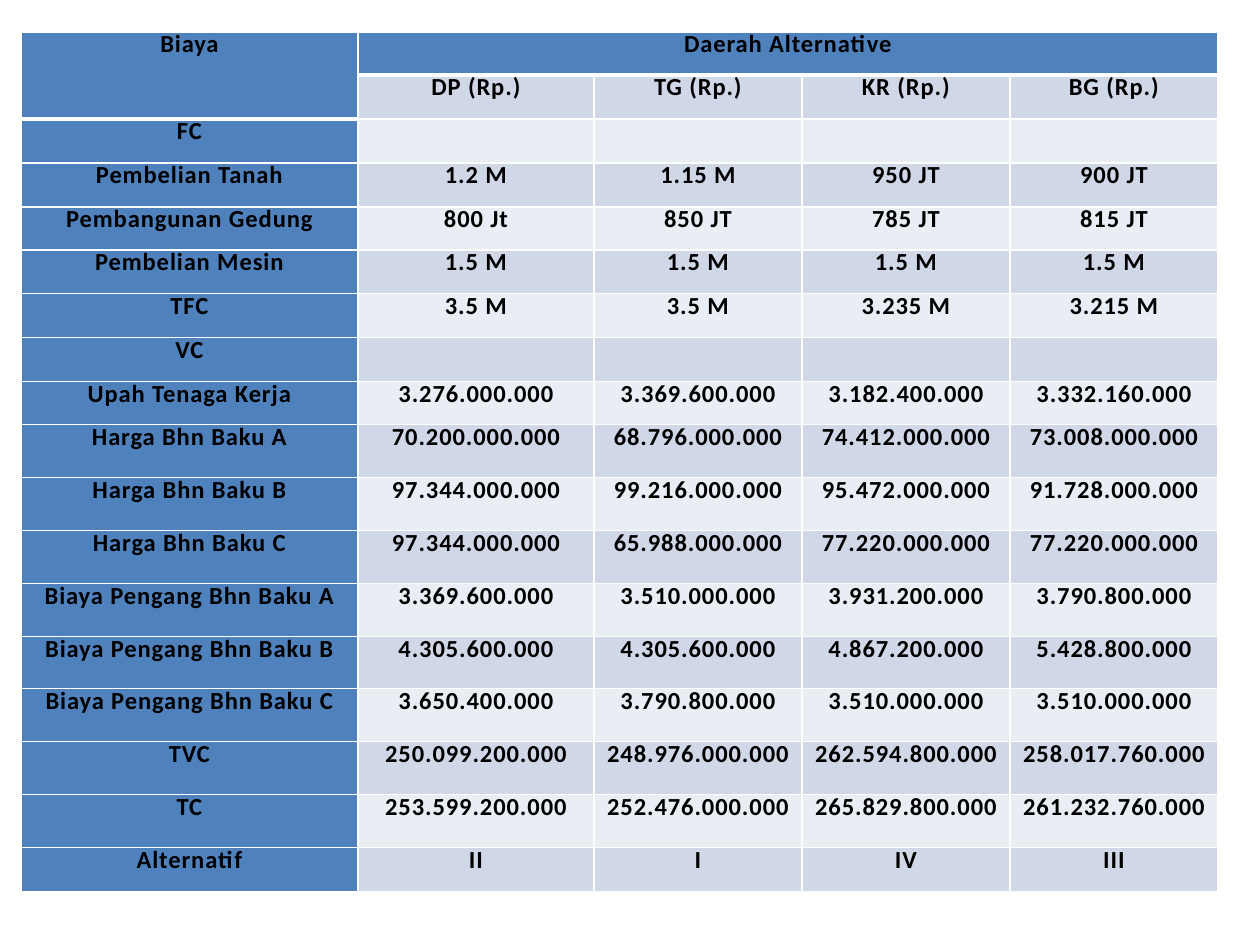
"""Build a slide with a table comparing costs across four alternative regions."""
import itertools
import pptx
import pptx.dml.color
import pptx.enum.text
import pptx.oxml
import pptx.oxml.ns
import pptx.util

PX = 914400 / 126
COLORS = {"head": "4F81BD", "dark": "D0D8E8", "light": "E9EDF4", "line": "FFFFFF", "text": "000000"}
WIDTHS = [337, 236, 208, 208, 208]
EDGES = [32, 75, 119, 163, 207, 250, 294, 338, 382, 425, 478, 531, 584, 637, 689, 742, 795, 848, 892]
COSTS = [
    ["Biaya", "Daerah Alternative", "", "", ""],
    ["", "DP (Rp.)", "TG (Rp.)", "KR (Rp.)", "BG (Rp.)"],
    ["FC", "", "", "", ""],
    ["Pembelian Tanah", "1.2 M", "1.15 M", "950 JT", "900 JT"],
    ["Pembangunan Gedung", "800 Jt", "850 JT", "785 JT", "815 JT"],
    ["Pembelian Mesin", "1.5 M", "1.5 M", "1.5 M", "1.5 M"],
    ["TFC", "3.5 M", "3.5 M", "3.235 M", "3.215 M"],
    ["VC", "", "", "", ""],
    ["Upah Tenaga Kerja", "3.276.000.000", "3.369.600.000", "3.182.400.000", "3.332.160.000"],
    ["Harga Bhn Baku A", "70.200.000.000", "68.796.000.000", "74.412.000.000", "73.008.000.000"],
    ["Harga Bhn Baku B", "97.344.000.000", "99.216.000.000", "95.472.000.000", "91.728.000.000"],
    ["Harga Bhn Baku C", "97.344.000.000", "65.988.000.000", "77.220.000.000", "77.220.000.000"],
    ["Biaya Pengang Bhn Baku A", "3.369.600.000", "3.510.000.000", "3.931.200.000", "3.790.800.000"],
    ["Biaya Pengang Bhn Baku B", "4.305.600.000", "4.305.600.000", "4.867.200.000", "5.428.800.000"],
    ["Biaya Pengang Bhn Baku C", "3.650.400.000", "3.790.800.000", "3.510.000.000", "3.510.000.000"],
    ["TVC", "250.099.200.000", "248.976.000.000", "262.594.800.000", "258.017.760.000"],
    ["TC", "253.599.200.000", "252.476.000.000", "265.829.800.000", "261.232.760.000"],
    ["Alternatif", "II", "I", "IV", "III"],
]


def emu(px):
    return pptx.util.Emu(round(px * PX))


def border(cell, side, points):
    line = pptx.oxml.parse_xml(
        f'<a:{side} {pptx.oxml.ns.nsdecls("a")} w="{points * 12700}"><a:solidFill>'
        f'<a:srgbClr val="{COLORS["line"]}"/></a:solidFill></a:{side}>')
    cell._tc.get_or_add_tcPr().append(line)


deck = pptx.Presentation()
deck.slide_width, deck.slide_height = emu(1260), emu(945)
slide = deck.slides.add_slide(deck.slide_layouts[6])
frame = slide.shapes.add_table(len(COSTS), len(WIDTHS), emu(21), emu(EDGES[0]),
                               emu(sum(WIDTHS)), emu(EDGES[-1] - EDGES[0]))
table = frame.table
for column, width in zip(table.columns, WIDTHS):
    column.width = emu(width)
for row, (top, end) in zip(table.rows, itertools.pairwise(EDGES)):
    row.height = emu(end - top)
table.cell(0, 0).merge(table.cell(1, 0))
table.cell(0, 1).merge(table.cell(0, 4))

for r, costs in enumerate(COSTS):
    for c, text in enumerate(costs):
        cell = table.cell(r, c)
        for side in ("lnL", "lnR", "lnT", "lnB"):
            thick = side == "lnB" and (r == 0 or (r, c) == (1, 0))
            border(cell, side, 3 if thick else 1)
        shade = "head" if r == 0 or c == 0 else "dark" if r % 2 else "light"
        cell.fill.solid()
        cell.fill.fore_color.rgb = pptx.dml.color.RGBColor.from_string(COLORS[shade])
        cell.margin_left = cell.margin_right = emu(9)
        cell.margin_top = cell.margin_bottom = 0
        cell.text = text
        para = cell.text_frame.paragraphs[0]
        para.alignment = pptx.enum.text.PP_ALIGN.CENTER
        para.line_spacing = pptx.util.Pt(15.6)
        para.space_before = pptx.util.Pt(4.1)
        font = para.font
        font.name, font.size, font.bold = "Calibri", pptx.util.Pt(14), True
        font.color.rgb = pptx.dml.color.RGBColor.from_string(COLORS["text"])
        font._rPr.set("spc", "50")

deck.save("out.pptx")
